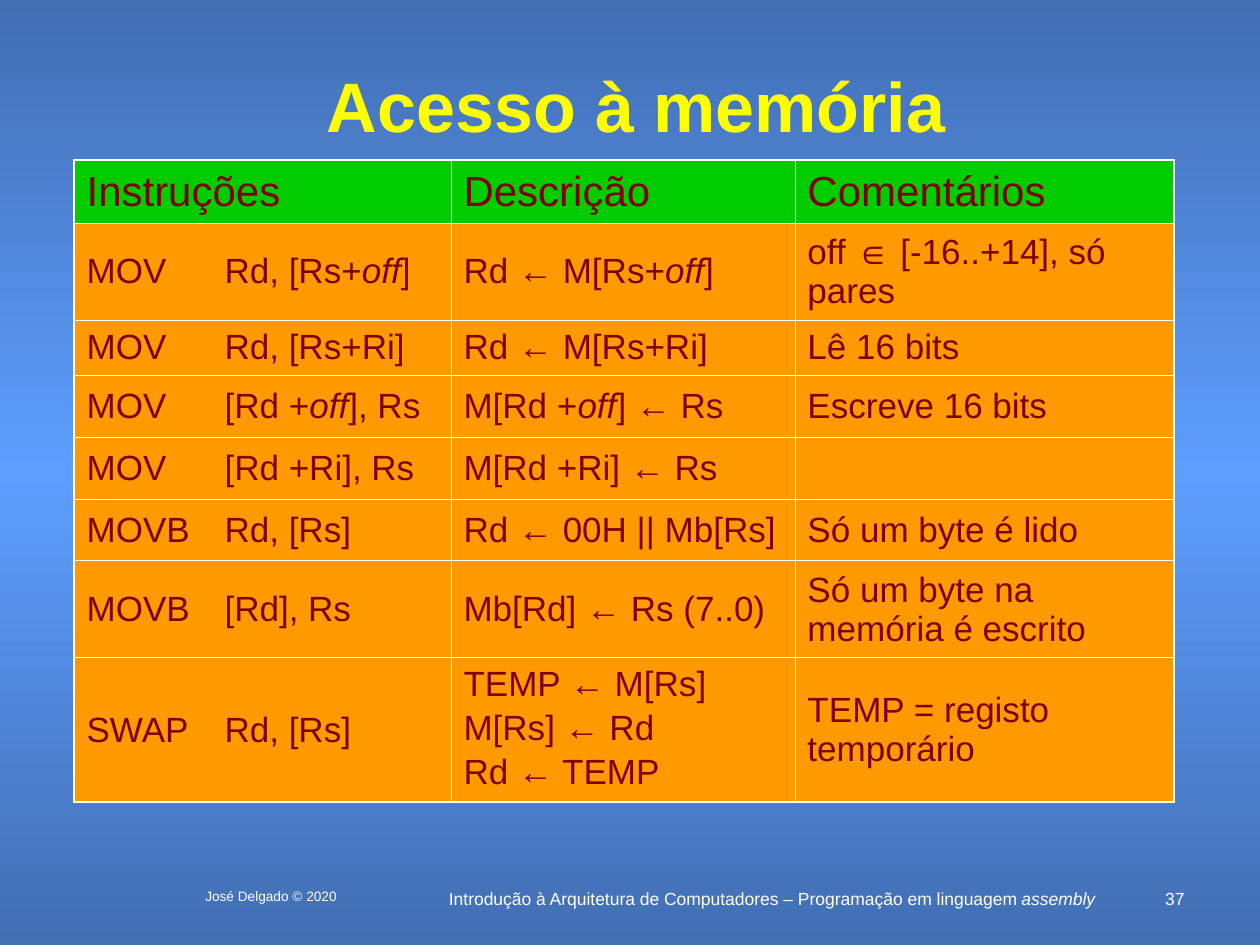
from copy import deepcopy
from dataclasses import dataclass

from pptx import Presentation
from pptx.dml.color import RGBColor
from pptx.enum.text import MSO_ANCHOR, PP_ALIGN
from pptx.oxml.ns import qn
from pptx.oxml.xmlchemy import OxmlElement
from pptx.slide import Slide
from pptx.table import Table, _Cell
from pptx.text.text import TextFrame, _Paragraph
from pptx.util import Emu, Pt

EMU_PER_PX = 914400 / 126
FONT = "Arial"
WHITE = RGBColor(0xFF, 0xFF, 0xFF)
YELLOW = RGBColor(0xFF, 0xFF, 0x00)
MAROON = RGBColor(0x80, 0x00, 0x00)
GREEN = RGBColor(0x00, 0xCC, 0x00)
ORANGE = RGBColor(0xFF, 0x99, 0x00)
DARK_BLUE = RGBColor(0x42, 0x6E, 0xB2)
LIGHT_BLUE = RGBColor(0x5E, 0x9E, 0xFF)

LEFT, CENTER, RIGHT = PP_ALIGN.LEFT, PP_ALIGN.CENTER, PP_ALIGN.RIGHT
TOP, MIDDLE = MSO_ANCHOR.TOP, MSO_ANCHOR.MIDDLE

NO_STYLE = "{2D5ABB26-0587-4C30-8999-92F81FD0307C}"
OUTER_LINE, INNER_LINE = Pt(1.08), Pt(0.45)

TABLE_LEFT, TABLE_TOP = 74, 160
COLUMN_WIDTHS = (138, 239, 344, 379)
ROW_HEIGHTS = (63, 97, 55, 62, 62, 62, 97, 144)

# Asterisks enclose italic text; a line break starts a new paragraph.
ROWS = (
    ("Instruções", "", "Descrição", "Comentários"),
    ("MOV", "Rd, [Rs+*off*]", "Rd ← M[Rs+*off*]", "off ∈ [-16..+14], só pares"),
    ("MOV", "Rd, [Rs+Ri]", "Rd ← M[Rs+Ri]", "Lê 16 bits"),
    ("MOV", "[Rd +*off*], Rs", "M[Rd +*off*] ← Rs", "Escreve 16 bits"),
    ("MOV", "[Rd +Ri], Rs", "M[Rd +Ri] ← Rs", ""),
    ("MOVB", "Rd, [Rs]", "Rd ← 00H || Mb[Rs]", "Só um byte é lido"),
    ("MOVB", "[Rd], Rs", "Mb[Rd] ← Rs (7..0)", "Só um byte na memória é escrito"),
    ("SWAP", "Rd, [Rs]", "TEMP ← M[Rs]\nM[Rs] ← Rd\nRd ← TEMP", "TEMP = registo temporário"),
)


@dataclass(frozen=True)
class TextStyle:
    size: float
    color: RGBColor
    align: PP_ALIGN = LEFT
    bold: bool = False


@dataclass(frozen=True)
class Label:
    text: str
    left: int
    top: int
    width: int
    height: int
    style: TextStyle
    anchor: MSO_ANCHOR = TOP


LABELS = (
    Label("Introdução à Arquitetura de Computadores – Programação em linguagem *assembly*",
          435, 882, 674, 32, TextStyle(10, WHITE, CENTER)),
    Label("37", 1144, 882, 53, 21, TextStyle(10, WHITE, RIGHT)),
    Label("José Delgado © 2020", 166, 882, 210, 32, TextStyle(7.8, WHITE, CENTER)),
    Label("Acesso à memória", 66, 63, 1140, 84,
          TextStyle(40, YELLOW, CENTER, bold=True), MIDDLE),
)
HEADER_STYLE = TextStyle(24, MAROON)
BODY_STYLE = TextStyle(20, MAROON)


def px(length: int) -> Emu:
    return Emu(round(length * EMU_PER_PX))


def write_paragraph(paragraph: _Paragraph, text: str, style: TextStyle) -> None:
    paragraph.alignment = style.align
    font = paragraph.font
    font.name = FONT
    font.size = Pt(style.size)
    font.bold = style.bold
    font.color.rgb = style.color
    for index, piece in enumerate(text.split("*")):
        if piece:
            run = paragraph.add_run()
            run.text = piece
            if index % 2:
                run.font.italic = True


def write_text(frame: TextFrame, text: str, style: TextStyle) -> None:
    lines = text.split("\n")
    for index, line in enumerate(lines):
        paragraph = frame.add_paragraph() if index else frame.paragraphs[0]
        if len(lines) > 1:
            paragraph.line_spacing = 0.9
        if index:
            paragraph.space_before = Pt(5)
        write_paragraph(paragraph, line, style)


def add_label(slide: Slide, label: Label) -> None:
    box = slide.shapes.add_textbox(
        px(label.left), px(label.top), px(label.width), px(label.height))
    frame = box.text_frame
    frame.word_wrap = True
    frame.vertical_anchor = label.anchor
    write_text(frame, label.text, label.style)


def add_border(cell: _Cell, side: str, width: Emu) -> None:
    line = OxmlElement(f"a:ln{side}")
    line.set("w", str(width))
    fill = OxmlElement("a:solidFill")
    color = OxmlElement("a:srgbClr")
    color.set("val", str(WHITE))
    fill.append(color)
    line.append(fill)
    cell._tc.get_or_add_tcPr().append(line)


def add_cell_borders(cell: _Cell, row: int, column: int) -> None:
    """Frame a cell, leaving the mnemonic and its operands undivided."""
    last_row, last_column = len(ROW_HEIGHTS) - 1, len(COLUMN_WIDTHS) - 1
    if column != 1:
        add_border(cell, "L", OUTER_LINE if column == 0 else INNER_LINE)
    if column != 0 or row == 0:
        add_border(cell, "R", OUTER_LINE if column == last_column else INNER_LINE)
    add_border(cell, "T", OUTER_LINE if row == 0 else INNER_LINE)
    add_border(cell, "B", OUTER_LINE if row == last_row else INNER_LINE)


def fill_table(table: Table) -> None:
    for column, width in zip(table.columns, COLUMN_WIDTHS):
        column.width = px(width)
    for row, height in zip(table.rows, ROW_HEIGHTS):
        row.height = px(height)
    table.cell(0, 0).merge(table.cell(0, 1))
    for row, texts in enumerate(ROWS):
        for column, text in enumerate(texts):
            cell = table.cell(row, column)
            cell.vertical_anchor = MIDDLE
            add_cell_borders(cell, row, column)
            cell.fill.solid()
            cell.fill.fore_color.rgb = ORANGE if row else GREEN
            write_text(cell.text_frame, text, BODY_STYLE if row else HEADER_STYLE)


def add_instruction_table(slide: Slide) -> None:
    table = slide.shapes.add_table(
        len(ROW_HEIGHTS), len(COLUMN_WIDTHS), px(TABLE_LEFT), px(TABLE_TOP),
        px(sum(COLUMN_WIDTHS)), px(sum(ROW_HEIGHTS))).table
    table.first_row = False
    table.horz_banding = False
    table._tbl.tblPr.find(qn("a:tableStyleId")).text = NO_STYLE
    fill_table(table)


def paint_background(slide: Slide) -> None:
    fill = slide.background.fill
    fill.gradient()
    fill.gradient_angle = 90
    stop_list = slide.element.find(".//" + qn("a:gsLst"))
    stop_list.insert(1, deepcopy(stop_list[0]))
    colors = (DARK_BLUE, LIGHT_BLUE, DARK_BLUE)
    for stop, color, position in zip(fill.gradient_stops, colors, (0, 0.5, 1)):
        stop.color.rgb = color
        stop.position = position


def main() -> None:
    presentation = Presentation()
    presentation.slide_width, presentation.slide_height = px(1260), px(945)
    slide = presentation.slides.add_slide(presentation.slide_layouts[6])
    paint_background(slide)
    for label in LABELS:
        add_label(slide, label)
    add_instruction_table(slide)
    presentation.save("out.pptx")


if __name__ == "__main__":
    main()
